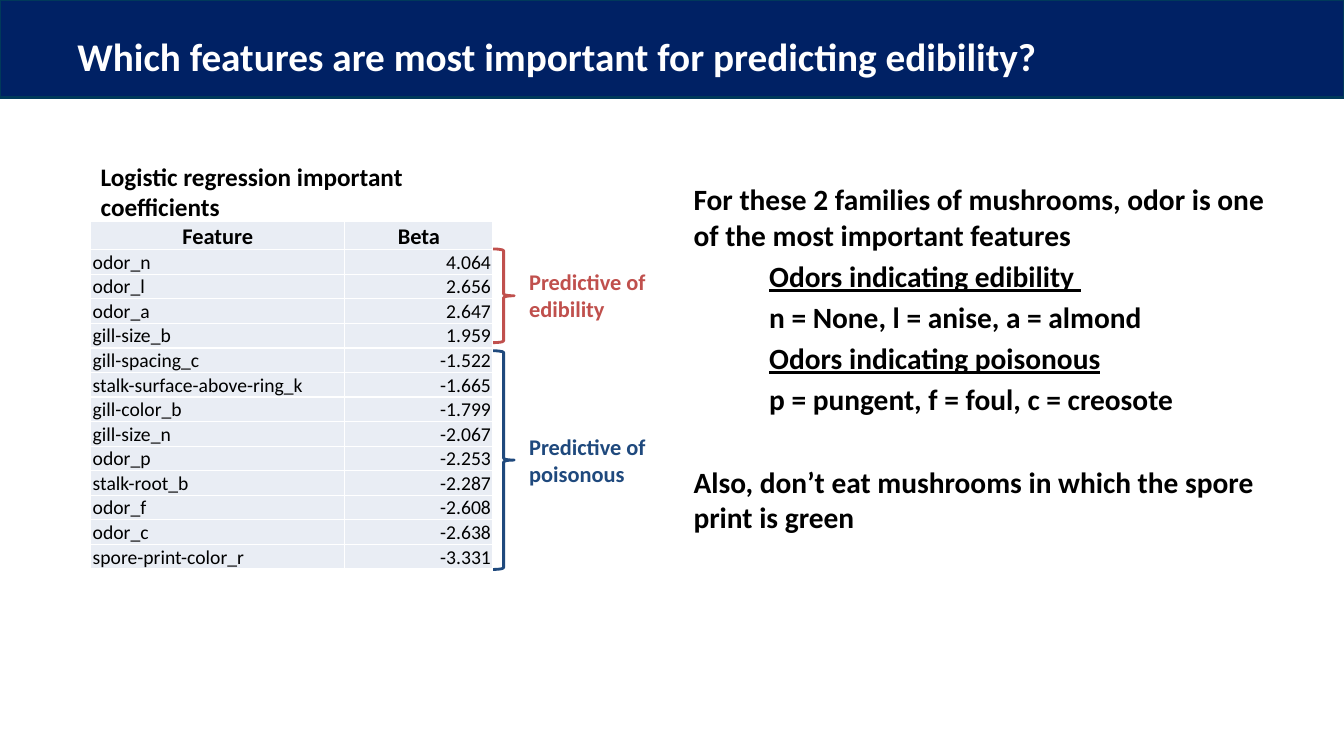
"""Build the slide on the features that predict mushroom edibility."""
import pptx
import pptx.dml.color
import pptx.enum.shapes
import pptx.enum.text
import pptx.util

Inches = pptx.util.Inches
Pt = pptx.util.Pt
RGBColor = pptx.dml.color.RGBColor
Align = pptx.enum.text.PP_ALIGN
Anchor = pptx.enum.text.MSO_ANCHOR
Shape = pptx.enum.shapes.MSO_SHAPE

FONT = "Calibri"
NAVY = RGBColor(0x00, 0x21, 0x64)
BANNER_EDGE = RGBColor(0x00, 0x39, 0x5A)
WHITE = RGBColor(0xFF, 0xFF, 0xFF)
BLACK = RGBColor(0x00, 0x00, 0x00)
CELL_FILL = RGBColor(0xE9, 0xED, 0xF4)
RED = RGBColor(0xC0, 0x50, 0x4D)
BLUE = RGBColor(0x1F, 0x49, 0x7D)

COEFFICIENTS = [
    ("Feature", "Beta"),
    ("odor_n", "4.064"),
    ("odor_l", "2.656"),
    ("odor_a", "2.647"),
    ("gill-size_b", "1.959"),
    ("gill-spacing_c", "-1.522"),
    ("stalk-surface-above-ring_k", "-1.665"),
    ("gill-color_b", "-1.799"),
    ("gill-size_n", "-2.067"),
    ("odor_p", "-2.253"),
    ("stalk-root_b", "-2.287"),
    ("odor_f", "-2.608"),
    ("odor_c", "-2.638"),
    ("spore-print-color_r", "-3.331"),
]

FINDINGS = [
    ("For these 2 families of mushrooms, odor is one of the most important features", 0, False, 0),
    ("Odors indicating edibility ", 0.75, True, 4.2),
    ("n = None, l = anise, a = almond", 0.75, False, 4.2),
    ("Odors indicating poisonous", 0.75, True, 4.2),
    ("p = pungent, f = foul, c = creosote", 0.75, False, 4.2),
    ("Also, don’t eat mushrooms in which the spore print is green", 0, False, 34),
]


def add_run(paragraph, text, size, color=BLACK, bold=True, underline=False):
    """Append one formatted run to a paragraph."""
    run = paragraph.add_run()
    run.text = text
    font = run.font
    font.name, font.size, font.bold = FONT, Pt(size), bold
    font.color.rgb = color
    if underline:
        font.underline = True


def add_text_frame(slide, left, top, width, height, wrap=True, anchor=Anchor.TOP):
    """Add a text box and return its text frame."""
    box = slide.shapes.add_textbox(Inches(left), Inches(top), Inches(width), Inches(height))
    frame = box.text_frame
    frame.word_wrap = wrap
    frame.vertical_anchor = anchor
    return frame


def next_paragraph(frame, index):
    """Return the first paragraph of a frame, or a new one after it."""
    return frame.add_paragraph() if index else frame.paragraphs[0]


def add_outlined_shape(slide, kind, left, top, width, height, color, fill=None):
    """Add a preset shape with a 2 pt outline and an optional fill."""
    shape = slide.shapes.add_shape(kind, Inches(left), Inches(top), Inches(width), Inches(height))
    shape.shadow.inherit = False
    shape.line.color.rgb = color
    shape.line.width = Pt(2)
    if fill is None:
        shape.fill.background()
    else:
        shape.fill.solid()
        shape.fill.fore_color.rgb = fill


def add_coefficient_table(slide):
    """Add the table of features and their coefficients."""
    frame = slide.shapes.add_table(
        len(COEFFICIENTS), 2, Inches(0.9), Inches(2.2), Inches(3.99), Inches(3.45))
    table = frame.table
    table.first_row = table.horz_banding = False
    table.columns[0].width, table.columns[1].width = Inches(2.52), Inches(1.47)
    for row_index, values in enumerate(COEFFICIENTS):
        header = row_index == 0
        table.rows[row_index].height = Inches(0.22)
        alignments = (Align.CENTER, Align.CENTER) if header else (Align.LEFT, Align.RIGHT)
        for column_index, value in enumerate(values):
            cell = table.cell(row_index, column_index)
            cell.fill.solid()
            cell.fill.fore_color.rgb = CELL_FILL
            cell.margin_left = cell.margin_right = Inches(0.02)
            cell.margin_top, cell.margin_bottom = Inches(0.01), Inches(0)
            cell.vertical_anchor = Anchor.BOTTOM
            paragraph = cell.text_frame.paragraphs[0]
            paragraph.alignment = alignments[column_index]
            add_run(paragraph, value, 16 if header else 14, bold=header)


def add_brace_group(slide, outcome, color, brace_top, brace_height):
    """Add a right brace and the label centred on it."""
    add_outlined_shape(slide, Shape.RIGHT_BRACE, 4.89, brace_top, 0.21, brace_height, color)
    label_height = 0.64
    label_top = brace_top + (brace_height - label_height) / 2
    frame = add_text_frame(slide, 5.15, label_top, 1.42, label_height, wrap=False)
    for index, line in enumerate(("Predictive of", outcome)):
        add_run(next_paragraph(frame, index), line, 16, color)


def add_findings(slide):
    """Add the findings, with the odor lists indented."""
    frame = add_text_frame(slide, 6.78, 1.75, 5.89, 4.95)
    for index, (text, indent, underline, space) in enumerate(FINDINGS):
        paragraph = next_paragraph(frame, index)
        if indent:
            paragraph_properties = paragraph._p.get_or_add_pPr()
            paragraph_properties.set("marL", str(Inches(indent)))
        if space:
            paragraph.space_before = Pt(space)
        add_run(paragraph, text, 21, underline=underline)


def main():
    """Build and save the presentation."""
    presentation = pptx.Presentation()
    presentation.slide_width, presentation.slide_height = Inches(13.33), Inches(7.5)
    slide = presentation.slides.add_slide(presentation.slide_layouts[6])

    add_outlined_shape(slide, Shape.RECTANGLE, 0, 0, 13.33, 0.97, BANNER_EDGE, NAVY)
    title = add_text_frame(slide, 0.67, 0.13, 12, 0.84, anchor=Anchor.MIDDLE)
    add_run(title.paragraphs[0],
            "Which features are most important for predicting edibility?", 28, WHITE)

    add_coefficient_table(slide)
    add_findings(slide)
    heading = add_text_frame(slide, 0.9, 1.55, 3.6, 0.71)
    add_run(heading.paragraphs[0], "Logistic regression important coefficients", 18)
    add_brace_group(slide, "edibility", RED, 2.47, 0.93)
    add_brace_group(slide, "poisonous", BLUE, 3.48, 2.17)
    presentation.save("out.pptx")


if __name__ == "__main__":
    main()
